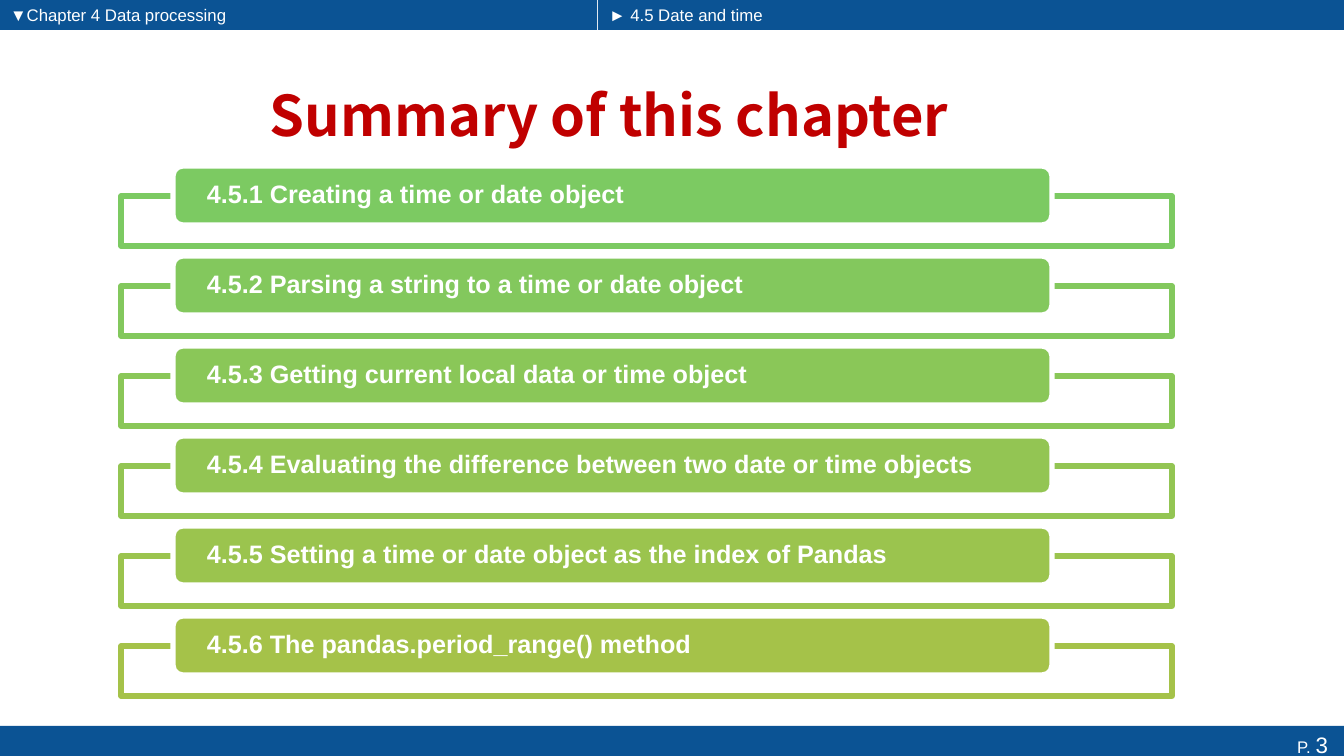
from lxml.etree import SubElement
from pptx import Presentation
from pptx.dml.color import RGBColor
from pptx.enum.shapes import MSO_SHAPE
from pptx.enum.text import MSO_ANCHOR, MSO_AUTO_SIZE, PP_ALIGN
from pptx.oxml.ns import qn
from pptx.util import Emu, Pt

PX = 914400 / 100.8
WHITE = RGBColor(0xFF, 0xFF, 0xFF)
NAVY = RGBColor(0x0B, 0x53, 0x94)
CRIMSON = RGBColor(0xC0, 0x00, 0x00)
ROW_PITCH = 90
SECTIONS = [
    ("4.5.1 Creating a time or date object", RGBColor(0x7C, 0xCA, 0x62)),
    ("4.5.2 Parsing a string to a time or date object", RGBColor(0x83, 0xC8, 0x5D)),
    ("4.5.3 Getting current local data or time object", RGBColor(0x8A, 0xC7, 0x58)),
    ("4.5.4 Evaluating the difference between two date or time objects", RGBColor(0x93, 0xC5, 0x53)),
    ("4.5.5 Setting a time or date object as the index of Pandas", RGBColor(0x9B, 0xC4, 0x4E)),
    ("4.5.6 The pandas.period_range() method", RGBColor(0xA5, 0xC2, 0x49)),
]


def place(item, left, top, width, height):
    box = {"left": left, "top": top, "width": width, "height": height}
    for side, length in box.items():
        setattr(item, side, Emu(round(length * PX)))


def add_block(preset, box, fill, outline=None):
    block = slide.shapes.add_shape(preset, 0, 0, 0, 0)
    place(block, *box)
    block.shadow.inherit = False
    block.fill.solid()
    block.fill.fore_color.rgb = fill
    if outline is None:
        block.line.fill.background()
    else:
        block.line.color.rgb = outline
        block.line.width = Pt(3.78)
    return block


prs = Presentation()
prs.slide_width = Emu(round(1344 * PX))
prs.slide_height = Emu(round(756 * PX))
slide = prs.slides.add_slide(prs.slide_layouts[3])
heading, chapter, section = slide.placeholders

for bar_box in [(0, 0, 597, 30), (598, 0, 746, 30)]:
    add_block(MSO_SHAPE.RECTANGLE, bar_box, NAVY)

footer = add_block(MSO_SHAPE.RECTANGLE, (0, 726, 1344, 37), NAVY)
footer.text_frame.margin_right = Emu(round(16 * PX))
footer.text_frame.vertical_anchor = MSO_ANCHOR.MIDDLE
page = footer.text_frame.paragraphs[0]
page.alignment = PP_ALIGN.RIGHT
for words, size in [("P. ", 12), ("3", 16)]:
    run = page.add_run()
    run.text = words
    run.font.name = "Arial"
    run.font.size = Pt(size)
    run.font.color.rgb = WHITE

place(heading, 69, 69, 1080, 90)
heading.text_frame.text = "Summary of this chapter"
heading.text_frame.auto_size = MSO_AUTO_SIZE.NONE
heading.text_frame.vertical_anchor = MSO_ANCHOR.MIDDLE
summary = heading.text_frame.paragraphs[0]
summary.alignment = PP_ALIGN.CENTER
for attribute, value in {"name": "Noto Sans CJK SC", "size": Pt(40), "bold": True}.items():
    setattr(summary.runs[0].font, attribute, value)
summary.runs[0].font.color.rgb = CRIMSON

for row, (topic, green) in enumerate(SECTIONS):
    offset = row * ROW_PITCH
    add_block(MSO_SHAPE.RECTANGLE, (121, 196 + offset, 1051, 50), WHITE, green)
    label = add_block(MSO_SHAPE.ROUNDED_RECTANGLE, (173, 166 + offset, 879, 59), green, WHITE)
    frame = label.text_frame
    frame.text = topic
    layout = {
        "margin_left": Emu(round(31 * PX)),
        "margin_right": Emu(round(31 * PX)),
        "margin_top": 0,
        "margin_bottom": 0,
        "vertical_anchor": MSO_ANCHOR.MIDDLE,
        "word_wrap": True,
    }
    for attribute, value in layout.items():
        setattr(frame, attribute, value)
    line = frame.paragraphs[0]
    line.alignment = PP_ALIGN.LEFT
    line.line_spacing = 0.9
    for attribute, value in {"name": "Arial", "size": Pt(18), "bold": True}.items():
        setattr(line.runs[0].font, attribute, value)
    line.runs[0].font.color.rgb = WHITE

for crumb, words, box in [
    (chapter, "▼Chapter 4 Data processing", (0, 0, 487, 29)),
    (section, "► 4.5 Date and time", (599, 0, 240, 29)),
]:
    place(crumb, *box)
    crumb.text_frame.text = words
    crumb.text_frame.auto_size = MSO_AUTO_SIZE.NONE
    crumb.text_frame.vertical_anchor = MSO_ANCHOR.TOP
    line = crumb.text_frame.paragraphs[0]
    line.space_before = Pt(0)
    properties = line._p.get_or_add_pPr()
    properties.set("marL", "0")
    properties.set("indent", "0")
    SubElement(properties, qn("a:buNone"))
    for attribute, value in {"name": "Arial", "size": Pt(12)}.items():
        setattr(line.runs[0].font, attribute, value)
    line.runs[0].font.color.rgb = WHITE
    slide.shapes._spTree.append(crumb._element)

prs.save("out.pptx")
